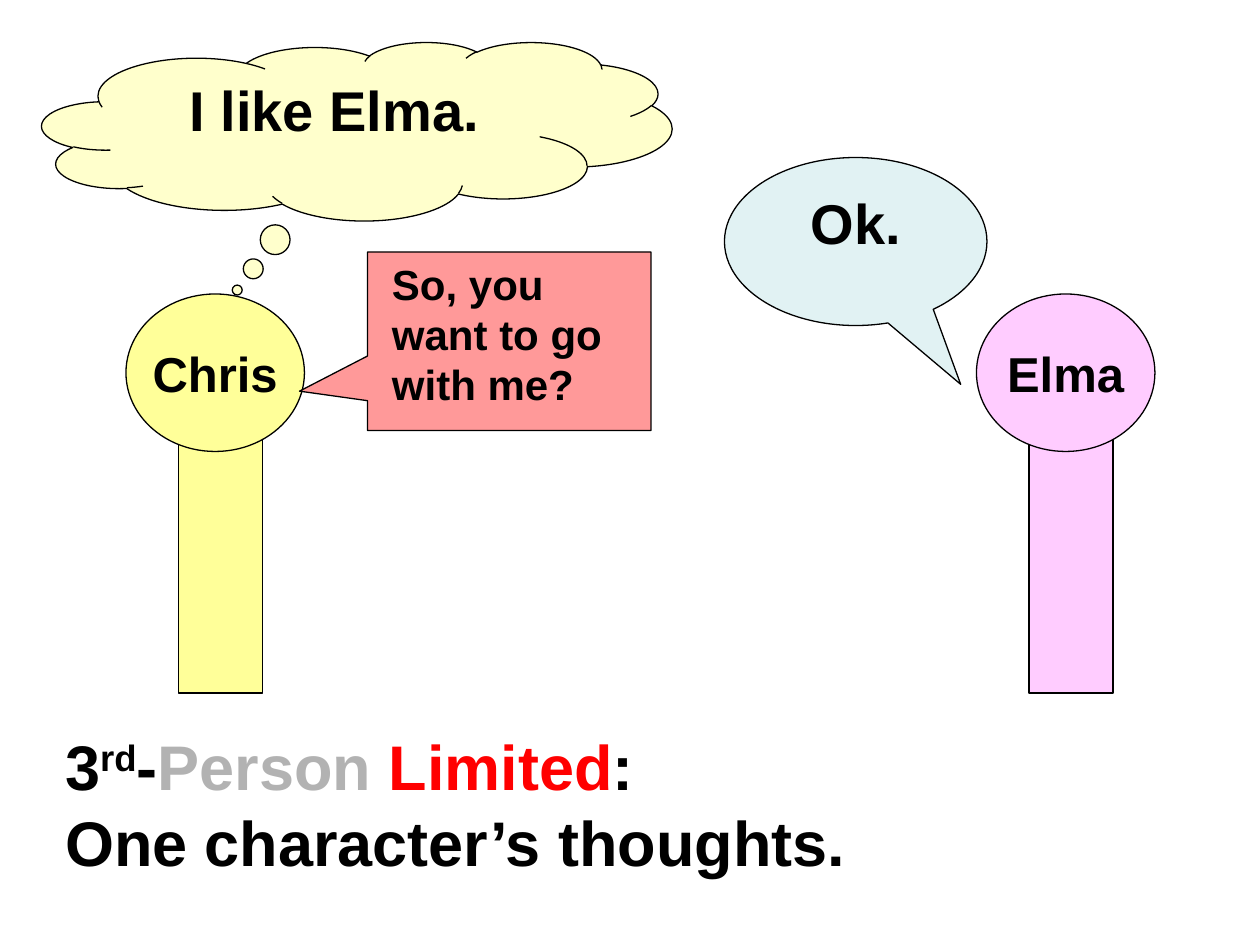
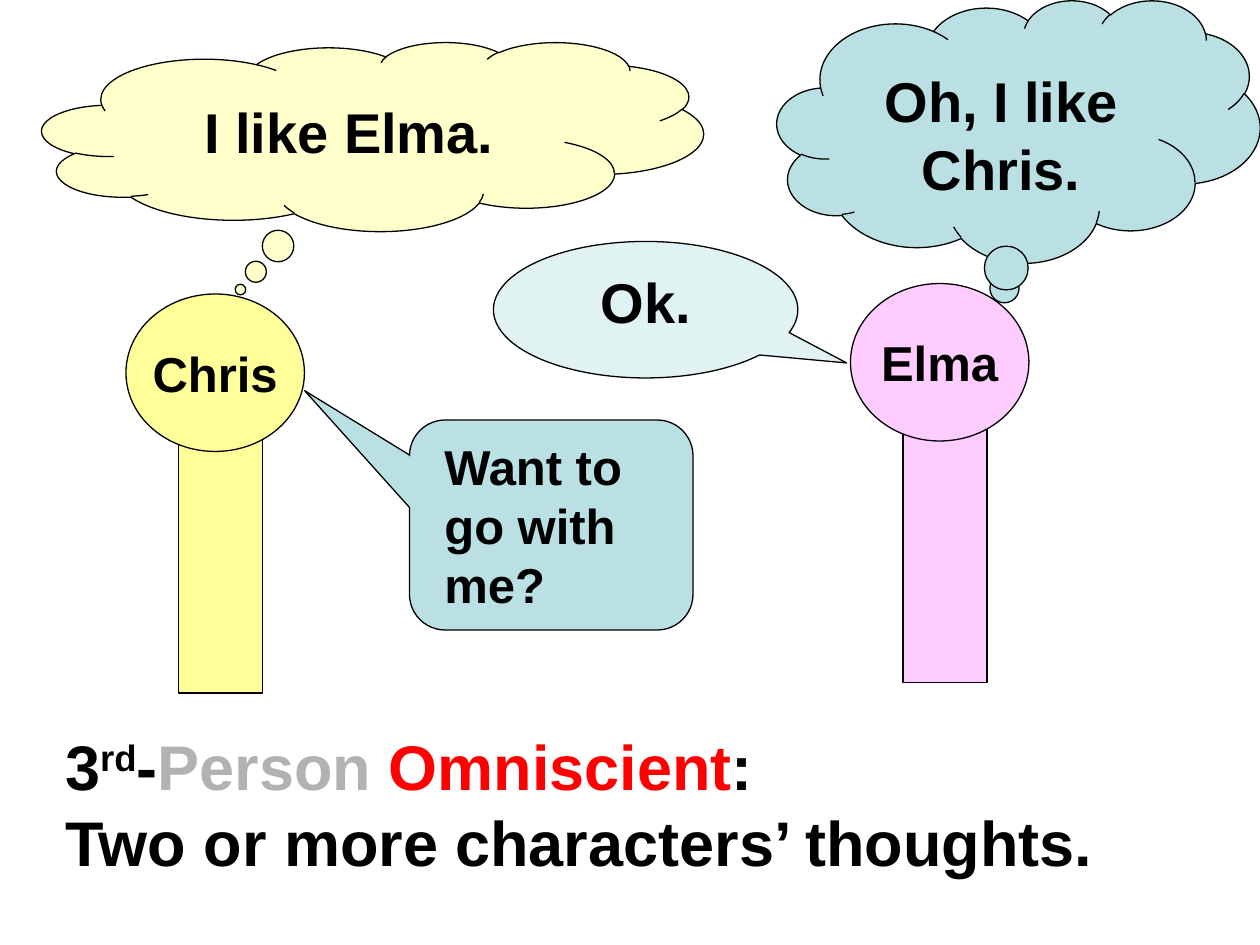
from pptx import Presentation
from pptx import util as u
from pptx.dml.color import RGBColor
from pptx.enum import shapes, text

Pt = u.Pt
SHAPE = shapes.MSO_SHAPE
ALIGN = text.PP_ALIGN
ANCHOR = text.MSO_ANCHOR

BLACK, GREY, RED = "000000", "B2B2B2", "FF0000"
YELLOW, CREAM, PINK = "FFFF99", "FFFFCC", "FFCCFF"
TEAL, PALE_TEAL, SALMON = "BBE0E3", "E1F2F3", "FF9999"


def rgb(color):
    return RGBColor.from_string(color)


def add_text(p, content, size=32, color=BLACK, baseline=None):
    for i, line in enumerate(content.split("\n")):
        if i:
            p.add_line_break()
        r = p.add_run()
        r.text = line
        r.font.name = "Arial"
        r.font.size = Pt(size)
        r.font.bold = True
        r.font.color.rgb = rgb(color)
        if baseline:
            r._r.get_or_add_rPr().set("baseline", str(baseline))


class Scene:
    def __init__(self, prs):
        self.prs = prs
        self.s = None

    def new_slide(self, kind, meaning):
        self.s = self.prs.slides.add_slide(self.prs.slide_layouts[5])
        sp = self.s.shapes.title
        sp.left, sp.top, sp.width, sp.height = Pt(30), Pt(402), Pt(642), Pt(114)
        tf = sp.text_frame
        tf.auto_size = text.MSO_AUTO_SIZE.NONE
        p = self.frame(tf, ANCHOR.MIDDLE, ALIGN.LEFT)
        add_text(p, "3", size=36)
        add_text(p, "rd", size=36, baseline=30000)
        add_text(p, "-", size=36)
        add_text(p, "Person ", size=36, color=GREY)
        add_text(p, kind, size=36, color=RED)
        add_text(p, ":\n" + meaning, size=36)

    def frame(self, tf, anchor, align, left=7.2, top=3.6, wrap=True):
        tf.word_wrap = wrap
        tf.vertical_anchor = anchor
        tf.margin_left, tf.margin_right = Pt(left), Pt(7.2)
        tf.margin_top, tf.margin_bottom = Pt(top), Pt(3.6)
        p = tf.paragraphs[0]
        p.alignment = align
        return p

    def shape(self, kind, box, fill, adj=()):
        sp = self.s.shapes.add_shape(kind, *map(Pt, box))
        sp.shadow.inherit = False
        sp.fill.solid()
        sp.fill.fore_color.rgb = rgb(fill)
        sp.line.color.rgb = rgb(BLACK)
        sp.line.width = Pt(0.75)
        for i, value in enumerate(adj):
            sp.adjustments[i] = value
        return sp

    def person(self, name, x, y, fill):
        self.shape(SHAPE.RECTANGLE, (x + 30, y + 60, 48, 168), fill)
        head = self.shape(SHAPE.OVAL, (x, y, 102, 90), fill)
        p = self.frame(head.text_frame, ANCHOR.MIDDLE, ALIGN.CENTER, wrap=False)
        add_text(p, name, size=28)

    def callout(self, kind, words, box, fill, adj, size=32, align=ALIGN.CENTER, **insets):
        sp = self.shape(kind, box, fill, adj)
        p = self.frame(sp.text_frame, ANCHOR.TOP, align, **insets)
        add_text(p, words, size=size)

    def thought(self, words, box, fill, adj, **insets):
        self.callout(SHAPE.CLOUD_CALLOUT, words, box, fill, adj, **insets)

    def reply(self, box, adj):
        self.callout(SHAPE.OVAL_CALLOUT, "Ok.", box, PALE_TEAL, adj)

    def invitation(self, kind, words, box, fill, adj, size):
        self.callout(kind, words, box, fill, adj, size=size, align=ALIGN.LEFT, left=14)


def main():
    prs = Presentation()
    prs.slide_width, prs.slide_height = Pt(720), Pt(540)
    scene = Scene(prs)

    scene.new_slide("Limited", "One character’s thoughts.")
    scene.person("Chris", 72, 168, YELLOW)
    scene.thought("I like Elma.", (24, 24, 360, 102), CREAM, (-0.19, 0.89))
    scene.person("Elma", 558, 168, PINK)
    scene.reply((414, 90, 150, 96), (0.4, 0.85))
    scene.invitation(SHAPE.RECTANGULAR_CALLOUT, "So, you\nwant to go\nwith me?",
                     (210, 144, 162, 102), SALMON, (-0.74, 0.28), 24)

    scene.new_slide("Omniscient", "Two or more characters’ thoughts.")
    scene.person("Chris", 72, 168, YELLOW)
    scene.thought("I like Elma.", (24, 24, 378, 108), CREAM, (-0.2, 0.81), top=15.6)
    scene.person("Elma", 486, 162, PINK)
    scene.reply((282, 138, 174, 78), (0.66, 0.39))
    scene.thought("Oh, I like Chris.", (444, 0, 276, 150), TEAL, (-0.03, 0.62), top=15.6)
    scene.invitation(SHAPE.ROUNDED_RECTANGULAR_CALLOUT, "Want to\ngo with\nme?",
                     (234, 240, 162, 120), TEAL, (-0.87, -0.64, 0.17), 28)

    prs.save("out.pptx")


if __name__ == "__main__":
    main()
